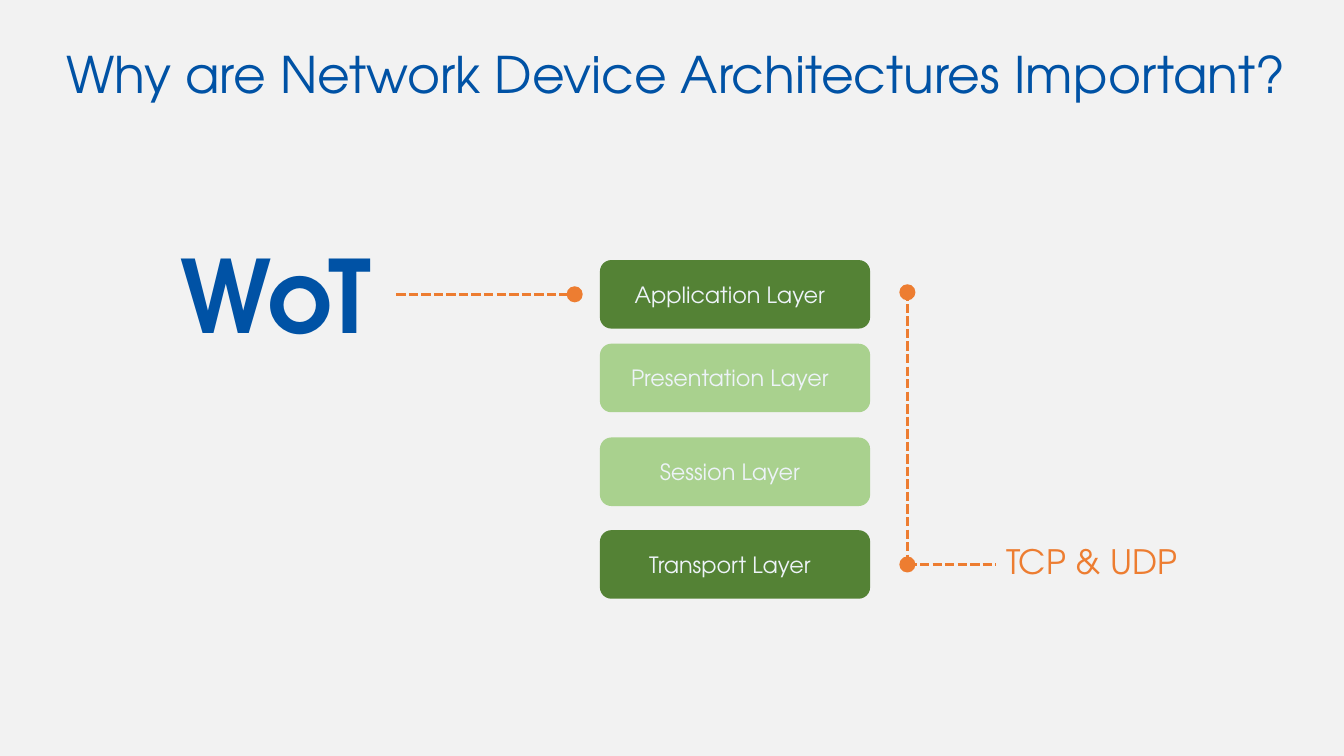
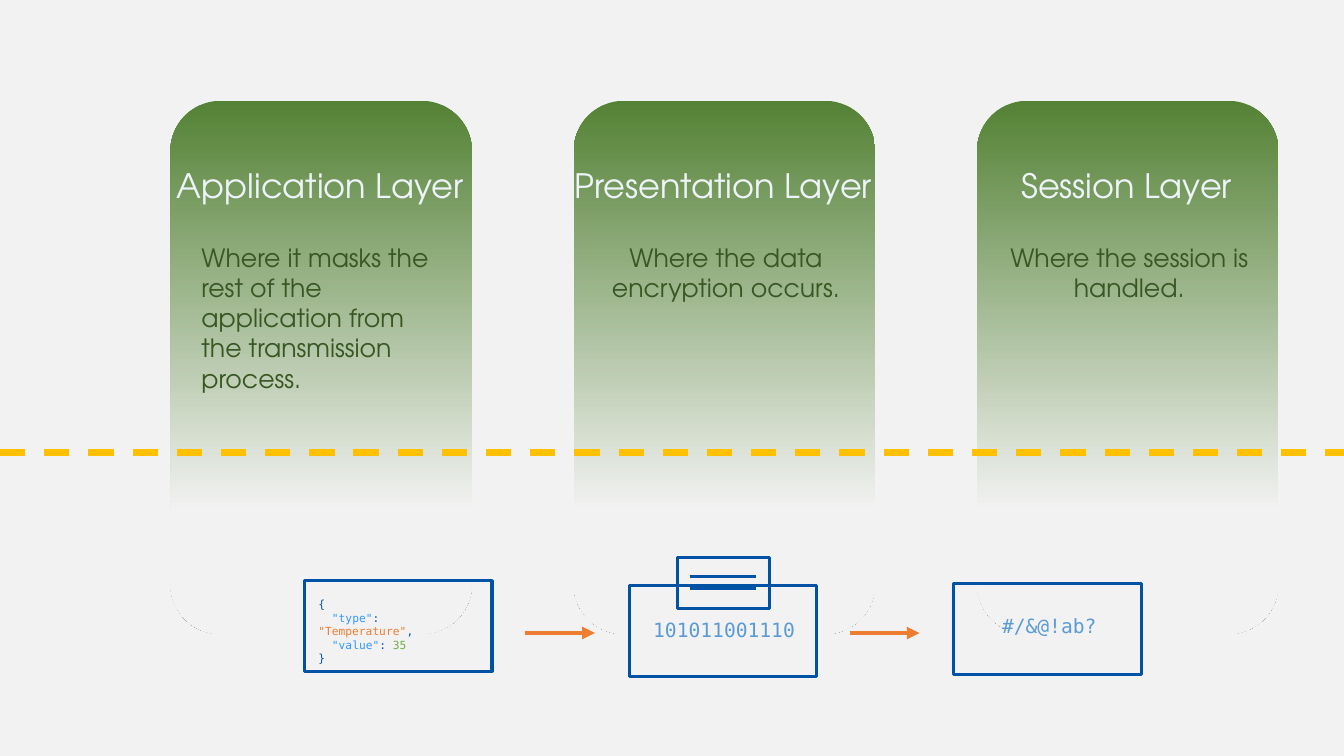
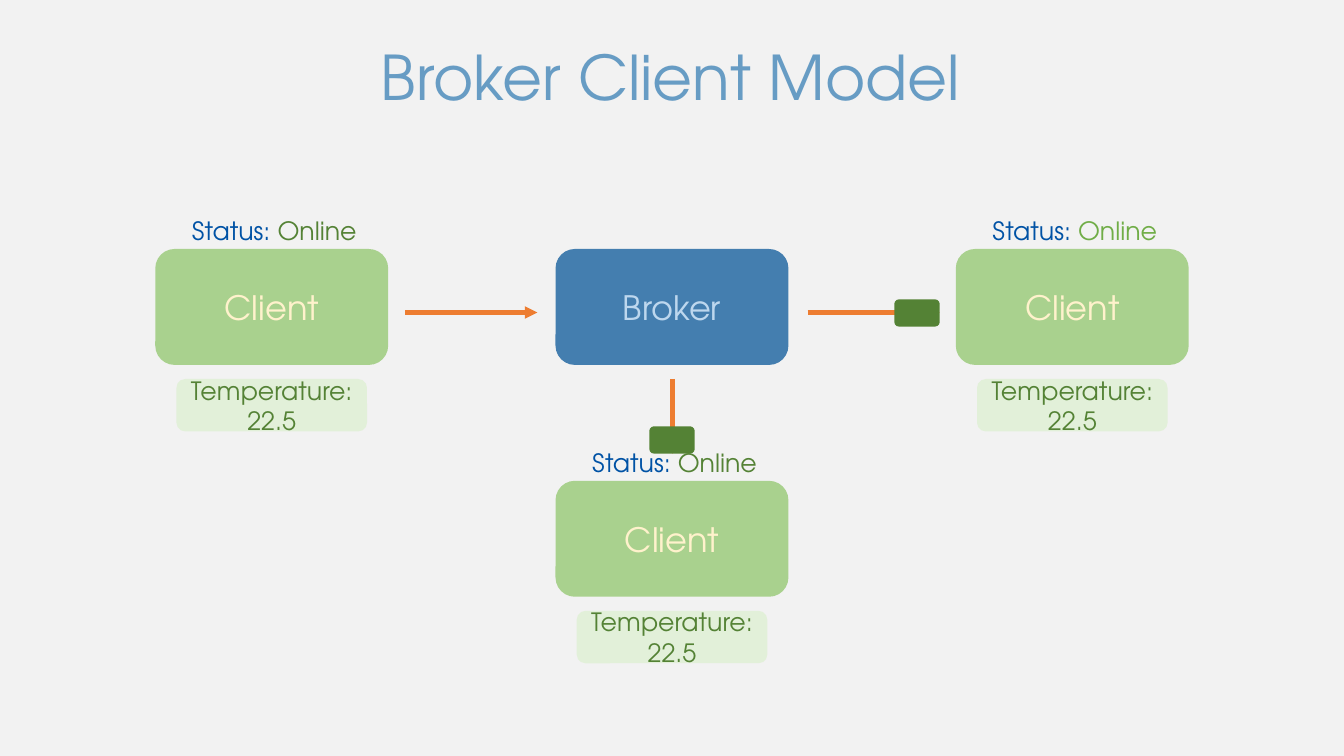
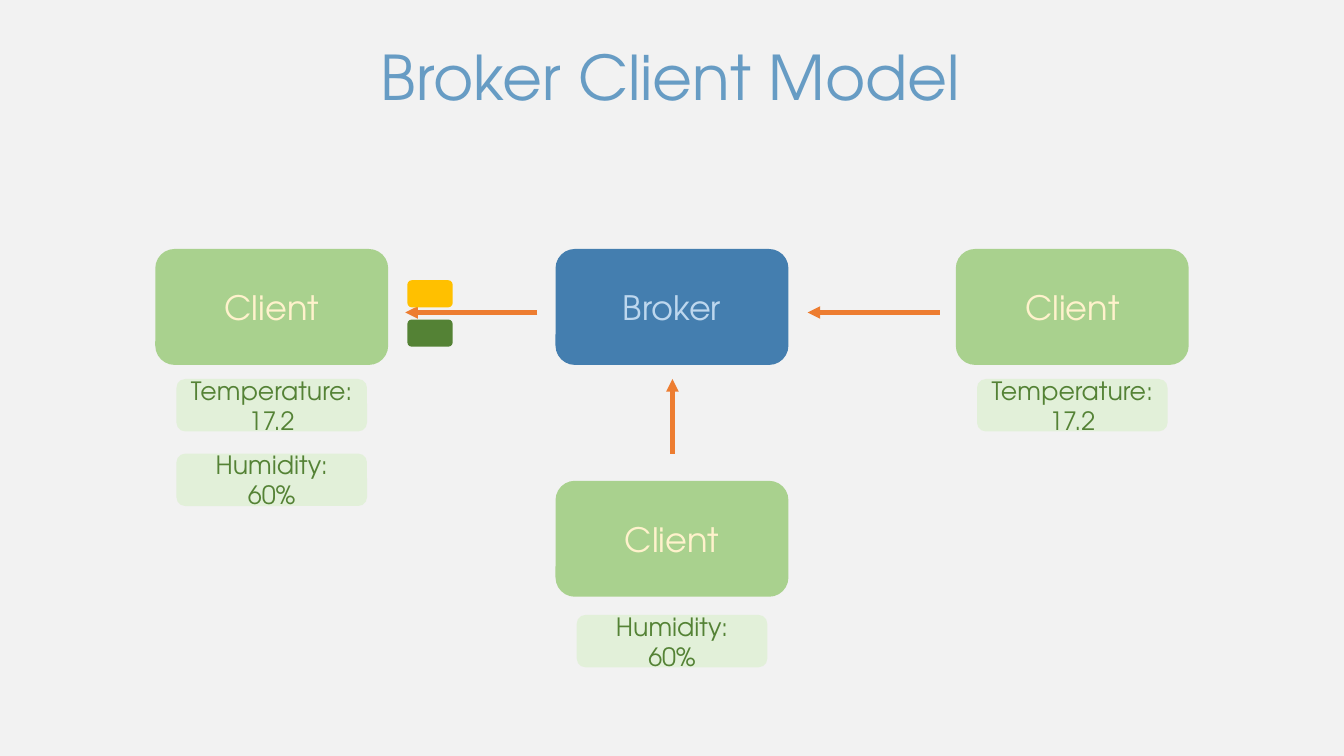
import pptx
import pptx.util
import pptx.dml.color
import pptx.enum.dml
import pptx.enum.shapes
import pptx.enum.text
import pptx.oxml.ns
import lxml.etree

Inches = pptx.util.Inches
SHAPE = pptx.enum.shapes.MSO_SHAPE
ALIGN = pptx.enum.text.PP_ALIGN
ANCHOR = pptx.enum.text.MSO_ANCHOR
DASH = pptx.enum.dml.MSO_LINE

SANS = "TeX Gyre Adventor"
MONO = "DejaVu Sans Mono"
COLORS = {
    "paper": "F2F2F2", "navy": "0052A5", "title": "679CC4", "broker": "447EAF",
    "sky": "5B9BD5", "key": "3097FF", "ice": "BDD7EE", "white": "EDF3F8",
    "forest": "385723", "green": "548235", "leaf": "70AD47", "light": "A9D18E",
    "mint": "E2F0D9", "cream": "FFF2CC", "orange": "ED7D31", "gold": "FFC000",
}

NODE_W, NODE_H = 2.31, 1.15
COLS = [1.54 + 3.97 * i for i in range(3)]
TOP, LOW = 2.47, 4.77
LEFT_NODE, RIGHT_NODE = (COLS[0], TOP), (COLS[2], TOP)
HUB, LOW_NODE = (COLS[1], TOP), (COLS[1], LOW)


def color(name):
    return pptx.dml.color.RGBColor.from_string(COLORS[name])


def new_slide(deck):
    slide = deck.slides.add_slide(deck.slide_layouts[6])
    slide.background.fill.solid()
    slide.background.fill.fore_color.rgb = color("paper")
    return slide


def write(frame, paras, size, align=ALIGN.CENTER, face=SANS, bold=False):
    for i, parts in enumerate(paras):
        para = frame.paragraphs[0] if i == 0 else frame.add_paragraph()
        para.alignment = align
        para.font.name = face
        para.font.size = pptx.util.Pt(size)
        para.font.bold = bold
        shared = len({tint for _, tint in parts}) == 1
        if shared:
            para.font.color.rgb = color(parts[0][1])
        for words, tint in parts:
            run = para.add_run()
            run.text = words
            if not shared:
                run.font.color.rgb = color(tint)


def add_text(slide, box, paras, size, wrap=True, anchor=ANCHOR.TOP, **style):
    frame = slide.shapes.add_textbox(*map(Inches, box)).text_frame
    frame.word_wrap = wrap
    frame.vertical_anchor = anchor
    write(frame, paras, size, **style)


def add_shape(slide, box, fill=None, kind=SHAPE.ROUNDED_RECTANGLE, edge=None):
    shape = slide.shapes.add_shape(kind, *map(Inches, box))
    shape.shadow.inherit = False
    if fill:
        shape.fill.solid()
        shape.fill.fore_color.rgb = color(fill)
    else:
        shape.fill.background()
    if edge:
        shape.line.color.rgb = color(edge)
        shape.line.width = pptx.util.Pt(2.25)
    else:
        shape.line.fill.background()
    return shape


def add_label(slide, box, fill, words, tint, size):
    shape = add_shape(slide, box, fill)
    shape.text_frame.vertical_anchor = ANCHOR.MIDDLE
    write(shape.text_frame, [[(words, tint)]], size)
    return shape


def add_line(slide, start, end, tint="orange", width=2.25, dash=None, arrow=False):
    link = slide.shapes.add_connector(
        pptx.enum.shapes.MSO_CONNECTOR.STRAIGHT, *map(Inches, start + end))
    link.line.color.rgb = color(tint)
    link.line.width = pptx.util.Pt(width)
    if dash:
        link.line.dash_style = dash
    qn = pptx.oxml.ns.qn
    props = link.element.spPr
    if arrow:
        lxml.etree.SubElement(props.find(qn("a:ln")), qn("a:tailEnd"), type="triangle")
    lxml.etree.SubElement(props, qn("a:effectLst"))


def add_arrow(slide, start, end):
    add_line(slide, start, end, width=3, arrow=True)


def add_frame(slide, box):
    add_shape(slide, box, kind=SHAPE.RECTANGLE, edge="navy")


def add_card(slide, left, head, body, align):
    card = add_shape(slide, (left, 1, 2.99, 5.29), "green")
    card.fill.gradient()
    card.fill.gradient_angle = 270
    for stop, tint, place in zip(card.fill.gradient_stops, ("green", "paper"), (0, 0.77)):
        stop.color.rgb = color(tint)
        stop.position = place
    add_text(slide, (left - 0.12, 1.59, 3.21, 0.5), [[(head, "white")]], 24, wrap=False)
    add_text(slide, (left + 0.21, 2.35, 2.6, 1.62), [[(body, "forest")]], 18, align=align)


def add_client(slide, spot):
    add_label(slide, (*spot, NODE_W, NODE_H), "light", "Client", "cream", 24)


def add_tag(slide, spot, words, drop=1.29):
    left, top = spot
    add_label(slide, (left + 0.21, top + drop, 1.89, 0.52), "mint", words, "green", 18)


def add_status(slide, spot, tint):
    left, top = spot
    add_text(slide, (left + 0.18, top - 0.44, 2, 0.52),
             [[("Status: ", "navy"), ("Online", tint)]], 18, anchor=ANCHOR.MIDDLE)


def add_packet(slide, left, top, fill):
    add_shape(slide, (left, top, 0.45, 0.27), fill)


def broker_slide(deck, arrows):
    slide = new_slide(deck)
    add_text(slide, (3.68, 0.34, 6.09, 0.84), [[("Broker Client Model", "title")]], 44,
             align=ALIGN.LEFT)
    add_label(slide, (*HUB, NODE_W, NODE_H), "broker", "Broker", "ice", 24)
    for spot in (LEFT_NODE, LOW_NODE, RIGHT_NODE):
        add_client(slide, spot)
    for start, end in arrows:
        add_arrow(slide, start, end)
    return slide


def layers_slide(deck):
    slide = new_slide(deck)
    add_text(slide, (0.07, 0, 13.27, 1.45),
             [[("Why are Network Device Architectures Important?", "navy")]], 36,
             anchor=ANCHOR.MIDDLE)
    add_text(slide, (1.69, 2.26, 2.18, 1.31), [[("WoT", "navy")]], 72, wrap=False,
             align=ALIGN.LEFT, bold=True)
    layers = [
        ("Application Layer", 2.58, "green"),
        ("Presentation Layer", 3.41, "light"),
        ("Session Layer", 4.34, "light"),
        ("Transport Layer", 5.26, "green"),
    ]
    for words, top, fill in layers:
        layer = add_label(slide, (5.95, top, 2.68, 0.68), fill, words, "white", 16)
        layer.text_frame.margin_right = Inches(0.2)
    for start, end in [((3.93, 2.92), (5.69, 2.92)),
                       ((9, 2.89), (9, 5.65)),
                       ((9, 5.6), (9.88, 5.6))]:
        add_line(slide, start, end, dash=DASH.SQUARE_DOT)
    for left, top in [(5.62, 2.84), (8.92, 2.82), (8.92, 5.52)]:
        add_shape(slide, (left, top, 0.16, 0.16), "orange", SHAPE.OVAL)
    add_text(slide, (9.88, 5.32, 1.93, 0.5), [[("TCP & UDP", "orange")]], 24,
             wrap=False, align=ALIGN.LEFT)


def cards_slide(deck):
    slide = new_slide(deck)
    cards = [
        ("Application Layer",
         "Where it masks the rest of the application from the transmission process.",
         ALIGN.LEFT),
        ("Presentation Layer", "Where the data encryption occurs.", ALIGN.CENTER),
        ("Session Layer", "Where the session is handled.", ALIGN.CENTER),
    ]
    for i, card in enumerate(cards):
        add_card(slide, 1.69 + 4 * i, *card)
    for left in (5.21, 8.43):
        add_arrow(slide, (left, 6.28), (left + 0.69, 6.28))
    code = [
        [("{", "navy")],
        [("  ", "navy"), ('"type"', "key"), (": ", "navy"),
         ('"Temperature"', "orange"), (",", "navy")],
        [("  ", "navy"), ('"value"', "key"), (": ", "navy"), ("35", "leaf")],
        [("}", "navy")],
    ]
    notes = [
        (3.06, 5.88, 0.64, code, 8),
        (6.38, 6.08, 0.34, [[("101011001110", "sky")]], 14),
        (9.84, 6.04, 0.34, [[("#/&@!ab?", "sky")]], 14),
    ]
    for left, top, height, paras, size in notes:
        add_text(slide, (left, top, 1.67, height), paras, size, align=ALIGN.LEFT, face=MONO)
    for i, top in enumerate((5.76, 5.81, 5.79)):
        add_frame(slide, (3.02 + 3.22 * i, top, 1.86, 0.9))
    for top in (5.72, 5.84):
        add_line(slide, (6.84, top), (7.5, top), "navy")
    add_frame(slide, (6.72, 5.53, 0.91, 0.51))
    add_line(slide, (0, 4.49), (13.33, 4.49), "gold", 4.5, DASH.DASH)


def publish_slide(deck):
    slide = broker_slide(deck, [((4.02, 3.1), (5.33, 3.1)),
                                ((8.01, 3.1), (9.32, 3.1)),
                                ((6.67, 3.76), (6.67, 4.5))])
    add_packet(slide, 8.87, 2.97, "green")
    add_packet(slide, 6.44, 4.23, "green")
    for spot, tint in [(LEFT_NODE, "green"), (LOW_NODE, "green"), (RIGHT_NODE, "leaf")]:
        add_tag(slide, spot, "Temperature: 22.5")
        add_status(slide, spot, tint)


def collect_slide(deck):
    slide = broker_slide(deck, [((5.33, 3.1), (4.02, 3.1)),
                                ((9.32, 3.1), (8.01, 3.1)),
                                ((6.67, 4.5), (6.67, 3.76))])
    add_packet(slide, 4.04, 3.17, "green")
    add_packet(slide, 4.04, 2.78, "gold")
    for spot in (LEFT_NODE, RIGHT_NODE):
        add_tag(slide, spot, "Temperature: 17.2")
    add_tag(slide, LEFT_NODE, "Humidity: 60%", 2.03)
    add_tag(slide, LOW_NODE, "Humidity: 60%", 1.33)


def main():
    deck = pptx.Presentation()
    deck.slide_width = Inches(13.33)
    deck.slide_height = Inches(7.5)
    layers_slide(deck)
    cards_slide(deck)
    publish_slide(deck)
    collect_slide(deck)
    deck.save("out.pptx")


if __name__ == "__main__":
    main()
